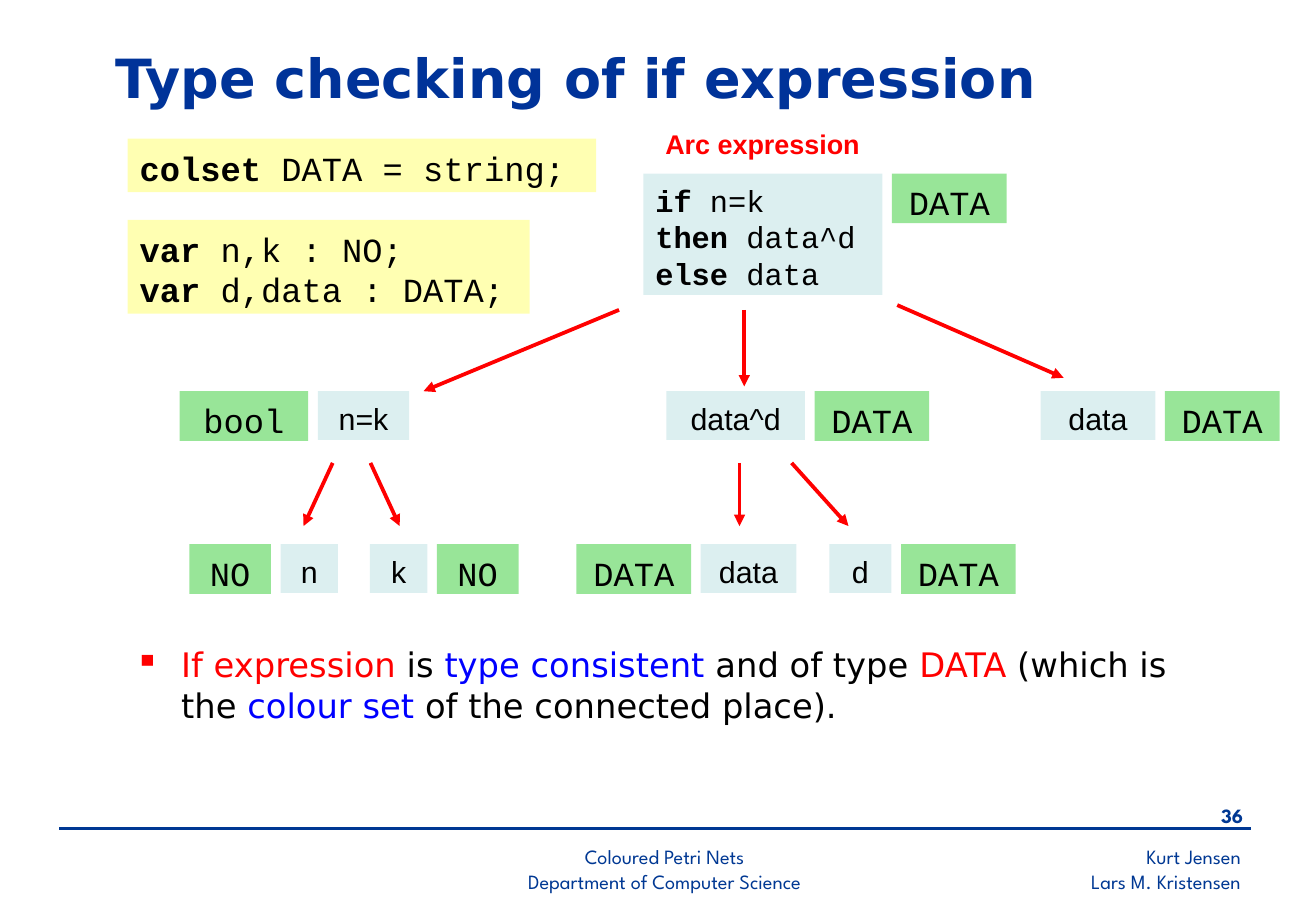
"""Build the slide on type checking of an if expression."""
from dataclasses import dataclass
from typing import NamedTuple, Optional

from lxml.etree import SubElement
from pptx import Presentation
from pptx.dml.color import RGBColor
from pptx.enum.shapes import MSO_CONNECTOR, MSO_SHAPE
from pptx.enum.text import MSO_ANCHOR, PP_ALIGN
from pptx.oxml.ns import qn
from pptx.slide import Slide
from pptx.text.text import _Paragraph
from pptx.util import Cm, Pt

NAVY = RGBColor(0x00, 0x38, 0x93)
TITLE = RGBColor(0x00, 0x33, 0x99)
RED = RGBColor(0xFF, 0x00, 0x00)
BLUE = RGBColor(0x00, 0x00, 0xFF)
BLACK = RGBColor(0x00, 0x00, 0x00)
YELLOW = RGBColor(0xFF, 0xFF, 0x66)
TEAL = RGBColor(0xBB, 0xE0, 0xE3)
GREEN = RGBColor(0x33, 0xCC, 0x33)

SANS, MONO, ARIAL, FOOT = "DejaVu Sans", "Courier New", "Arial", "League Spartan"
LEFT, MID, RIGHT = PP_ALIGN.LEFT, PP_ALIGN.CENTER, PP_ALIGN.RIGHT
GAP = 0.2
TAG_WIDTH = {"DATA": 2.4, "NO": 1.71, "bool": 2.69}


class Span(NamedTuple):
    """A piece of text with its own weight or colour."""
    text: str
    bold: Optional[bool] = None
    hue: Optional[RGBColor] = None


class Line(NamedTuple):
    """The two ends of a line."""
    x1: float
    y1: float
    x2: float
    y2: float


class Node(NamedTuple):
    """An expression with its type on one side."""
    text: str
    left: float
    top: float
    width: float
    kind: str
    before: bool = False


@dataclass
class Box:
    """A block of text, filled or plain."""
    left: float
    top: float
    width: float
    height: float
    lines: list[list[Span]]
    font: str
    size: float
    hue: RGBColor = BLACK
    align: PP_ALIGN = LEFT
    bold: Optional[bool] = None
    fill: Optional[RGBColor] = None
    anchor: MSO_ANCHOR = MSO_ANCHOR.TOP
    bullet: bool = False


def plain(*texts: str) -> list[list[Span]]:
    """Turn each text into a line of one span."""
    return [[Span(text)] for text in texts]


def code(*pairs: tuple[str, str]) -> list[list[Span]]:
    """Set a bold keyword before the rest of each line."""
    return [[Span(key, True), Span(rest)] for key, rest in pairs]


def add_bullet(para: _Paragraph) -> None:
    """Give a paragraph a red square and a hanging indent."""
    props = para._p.get_or_add_pPr()
    props.set("marL", str(Cm(0.97)))
    props.set("indent", str(-Cm(0.97)))
    tint = SubElement(props, qn("a:buClr"))
    SubElement(tint, qn("a:srgbClr"), val=str(RED))
    SubElement(props, qn("a:buChar"), char="▪")


def draw_box(slide: Slide, box: Box) -> None:
    """Draw a block of text."""
    place = Cm(box.left), Cm(box.top), Cm(box.width), Cm(box.height)
    if box.fill is None:
        shape = slide.shapes.add_textbox(*place)
    else:
        shape = slide.shapes.add_shape(MSO_SHAPE.RECTANGLE, *place)
        shape.shadow.inherit = False
        shape.line.fill.background()
        shape.fill.solid()
        shape.fill.fore_color.rgb = box.fill
        tint = shape.fill._xPr.find(qn("a:solidFill"))[0]
        SubElement(tint, qn("a:alpha"), val="50000")
    frame = shape.text_frame
    frame.word_wrap = True
    frame.vertical_anchor = box.anchor
    frame.margin_left = frame.margin_right = Cm(0.25)
    frame.margin_top = Cm(0.18 if box.fill else 0.13)
    frame.margin_bottom = Cm(0.1)
    for index, spans in enumerate(box.lines):
        para = frame.add_paragraph() if index else frame.paragraphs[0]
        para.alignment = box.align
        para.line_spacing = Pt(1.2 * box.size)
        if box.bullet:
            add_bullet(para)
        para.font.name = box.font
        para.font.size = Pt(box.size)
        para.font.bold = box.bold
        para.font.color.rgb = box.hue
        for span in spans:
            run = para.add_run()
            run.text = span.text
            if span.bold is not None:
                run.font.bold = span.bold
            if span.hue is not None:
                run.font.color.rgb = span.hue


def draw_line(slide: Slide, line: Line, hue: RGBColor, width: float, arrow: bool) -> None:
    """Draw a straight line, with an arrowhead if asked."""
    link = slide.shapes.add_connector(
        MSO_CONNECTOR.STRAIGHT, Cm(line.x1), Cm(line.y1), Cm(line.x2), Cm(line.y2))
    link.line.color.rgb = hue
    link.line.width = Pt(width)
    if arrow:
        SubElement(link.line._get_or_add_ln(), qn("a:tailEnd"), type="triangle")
    SubElement(link._element.spPr, qn("a:effectLst"))


def draw_tag(slide: Slide, kind: str, left: float, top: float) -> None:
    """Draw the green tag that names a type."""
    draw_box(slide, Box(left, top, TAG_WIDTH[kind], 1.04, plain(kind), MONO, 20,
                        align=MID, fill=GREEN))


def draw_node(slide: Slide, node: Node) -> None:
    """Draw an expression and the tag beside it."""
    draw_box(slide, Box(node.left, node.top, node.width, 1.02, plain(node.text),
                        ARIAL, 18, align=MID, fill=TEAL))
    shift = -GAP - TAG_WIDTH[node.kind] if node.before else node.width + GAP
    draw_tag(slide, node.kind, node.left + shift, node.top)


CLAIM = [Span("If expression", hue=RED), Span(" is "), Span("type consistent", hue=BLUE),
         Span(" and of type "), Span("DATA ", hue=RED), Span("(which is the "),
         Span("colour set", hue=BLUE), Span(" of the connected place).")]
ROOT = Box(13.46, 3.63, 5, 2.54, code(("if", " n=k"), ("then", " data^d"), ("else", " data")),
           MONO, 18, fill=TEAL)
BOXES = [
    Box(17.65, 17.53, 8.56, 1.27, plain("Kurt Jensen", "Lars M. Kristensen"), FOOT, 12, NAVY, RIGHT),
    Box(24.46, 16.66, 1.8, 0.84, plain("36"), FOOT, 12, NAVY, RIGHT, True),
    Box(8.66, 17.53, 10.49, 1.2, plain("Coloured Petri Nets", "Department of Computer Science"),
        FOOT, 12, NAVY, MID),
    Box(2.16, 0.71, 24.41, 1.75, plain("Type checking of if expression"), SANS, 32, TITLE,
        bold=True, anchor=MSO_ANCHOR.MIDDLE),
    Box(2.57, 13.34, 23.22, 2.21, [CLAIM], SANS, 20, bullet=True),
    Box(13.67, 2.54, 4.8, 0.94, plain("Arc expression"), ARIAL, 16, RED, bold=True),
    Box(2.67, 2.9, 9.8, 1.12, code(("colset", " DATA = string;")), MONO, 20, fill=YELLOW),
    Box(2.67, 4.6, 8.41, 1.96, code(("var", " n,k : NO;"), ("var", " d,data : DATA;")),
        MONO, 20, fill=YELLOW),
    ROOT,
]
UPPER, LOWER = 8.18, 11.38
NODES = [
    Node("n=k", 6.65, UPPER, 1.91, "bool", True),
    Node("data^d", 13.94, UPPER, 2.9, "DATA"),
    Node("data", 21.77, UPPER, 2.4, "DATA"),
    Node("n", 5.87, LOWER, 1.2, "NO", True),
    Node("k", 7.74, LOWER, 1.2, "NO"),
    Node("data", 14.66, LOWER, 2, "DATA", True),
    Node("d", 17.35, LOWER, 1.3, "DATA"),
]
ARROWS = [Line(12.95, 6.48, 8.86, 8.18), Line(15.57, 6.48, 15.57, 8.08),
          Line(18.77, 6.38, 22.25, 7.9)]
ARROWS += [Line(start, 9.68, end, 11) for start, end in
           [(6.96, 6.35), (7.75, 8.36), (15.47, 15.47), (16.56, 17.75)]]


def main() -> None:
    """Draw the slide and save it."""
    deck = Presentation()
    deck.slide_width, deck.slide_height = Cm(27.53), Cm(19.05)
    slide = deck.slides.add_slide(deck.slide_layouts[6])
    draw_line(slide, Line(1.24, 17.32, 26.16, 17.32), NAVY, 1.5, False)
    for box in BOXES:
        draw_box(slide, box)
    draw_tag(slide, "DATA", ROOT.left + ROOT.width + GAP, ROOT.top)
    for node in NODES:
        draw_node(slide, node)
    for arrow in ARROWS:
        draw_line(slide, arrow, RED, 2.25, True)
    deck.save("out.pptx")


if __name__ == "__main__":
    main()
